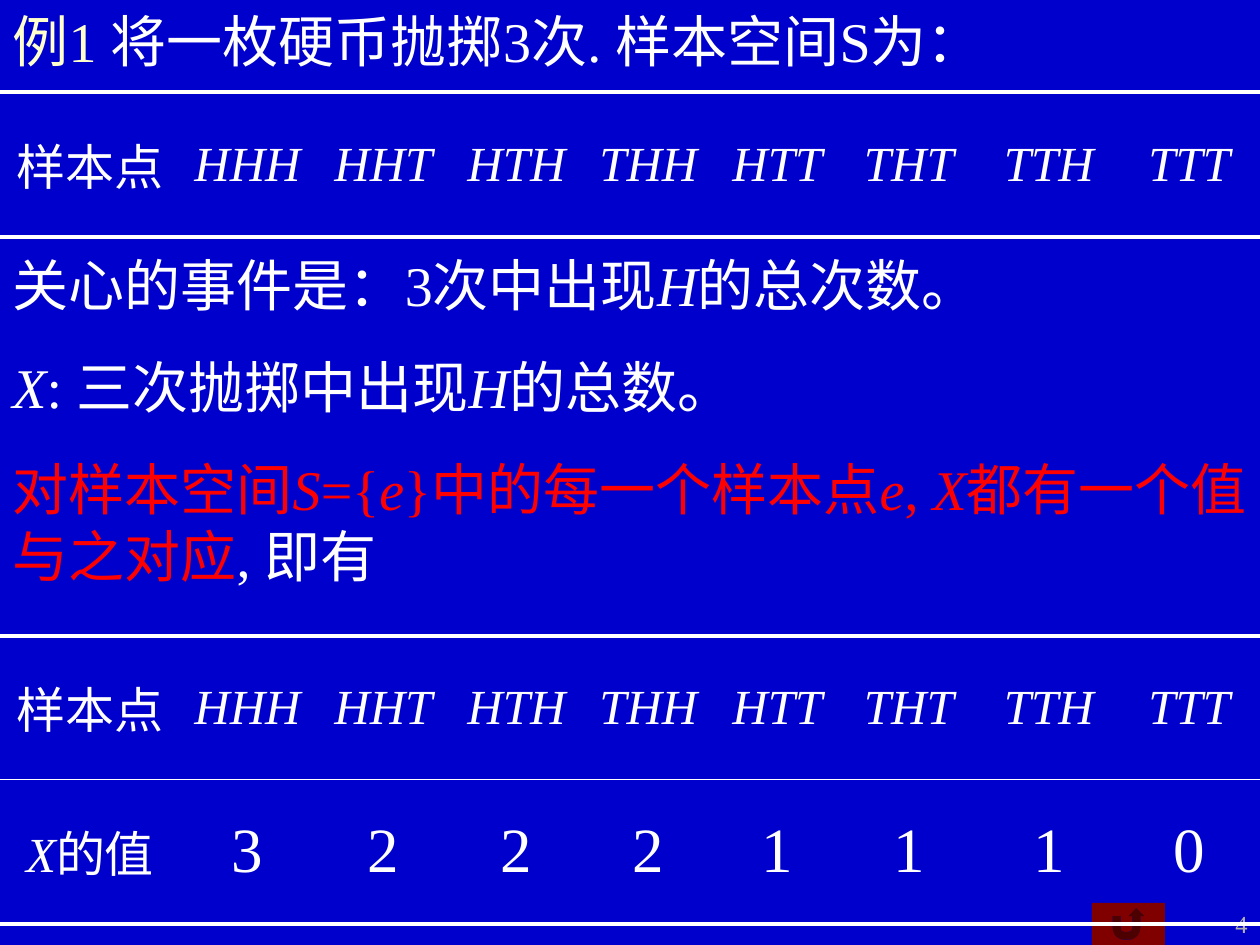
from dataclasses import dataclass

from lxml import etree
from pptx import Presentation
from pptx import util as u
from pptx.dml.color import RGBColor
from pptx.enum import shapes, text
from pptx.oxml.ns import qn

PX = u.Inches(1) / 126


@dataclass(frozen=True)
class Theme:
    """Colours, font and type sizes of the slide."""
    font: str = "Times New Roman"
    back: str = "0000CC"
    ink: str = "FFFFFF"
    lead: str = "FFFFCC"
    accent: str = "FF0000"
    button: str = "800000"
    muted: str = "B2B2B2"
    body: int = 32
    label: int = 28
    value: int = 36
    number: int = 14
    thick: float = 2.21
    thin: float = 0.45


THEME = Theme()
OUTCOMES = ["HHH", "HHT", "HTH", "THH", "HTT", "THT", "TTH", "TTT"]
COLUMNS = [180, 135, 137, 129, 135, 123, 140, 140, 141]


def scaled(*lengths):
    """Turn px lengths into EMU."""
    return [round(length * PX) for length in lengths]


def add_span(para, words, size, color=THEME.ink, italic=False):
    """Append one formatted run."""
    span = para.add_run()
    span.text = words
    span.font.name = THEME.font
    span.font.size = u.Pt(size)
    span.font.color.rgb = RGBColor.from_string(color)
    span.font.italic = italic
    span.font.bold = False


def add_title(page, box):
    """Place the title placeholder and fill it."""
    title = page.shapes.title
    title.left, title.top, title.width, title.height = scaled(*box)
    frame = title.text_frame
    frame.word_wrap = True
    frame.auto_size = text.MSO_AUTO_SIZE.NONE
    frame.vertical_anchor = text.MSO_ANCHOR.TOP
    para = frame.paragraphs[0]
    para.alignment = text.PP_ALIGN.LEFT
    add_span(para, "例1 ", THEME.body, THEME.lead)
    add_span(para, "将一枚硬币抛掷3次. 样本空间S为：", THEME.body)


def add_text(page, box, lines, size, align=text.PP_ALIGN.LEFT):
    """Place a text box whose lines are lists of (words, colour, italic)."""
    frame = page.shapes.add_textbox(*scaled(*box)).text_frame
    frame.word_wrap = True
    for index, line in enumerate(lines):
        para = frame.add_paragraph() if index else frame.paragraphs[0]
        para.alignment = align
        if index:
            para.space_before = u.Pt(20)
        for words, color, italic in line:
            add_span(para, words, size, color, italic)


def set_borders(cell, top, bottom):
    """Rule a cell above and below only."""
    props = cell._tc.get_or_add_tcPr()
    widths = {"a:lnL": 0, "a:lnR": 0, "a:lnT": top, "a:lnB": bottom}
    for index, (tag, width) in enumerate(widths.items()):
        line = etree.Element(qn(tag), w=str(u.Pt(width)))
        if width:
            fill = etree.SubElement(line, qn("a:solidFill"))
            etree.SubElement(fill, qn("a:srgbClr"), val=THEME.ink)
        else:
            etree.SubElement(line, qn("a:noFill"))
        props.insert(index, line)


def add_outcomes(page, box, heights, rows):
    """Place a ruled table whose cells are lists of (words, size, italic)."""
    table = page.shapes.add_table(len(rows), len(COLUMNS), *scaled(*box)).table
    table.first_row = table.horz_banding = False
    for column, width in zip(table.columns, scaled(*COLUMNS)):
        column.width = width
    rules = [THEME.thick] + [THEME.thin] * (len(rows) - 1) + [THEME.thick]
    for index, (row, height) in enumerate(zip(table.rows, scaled(*heights))):
        row.height = height
        for cell, spans in zip(row.cells, rows[index]):
            cell.fill.background()
            cell.vertical_anchor = text.MSO_ANCHOR.MIDDLE
            set_borders(cell, rules[index], rules[index + 1])
            para = cell.text_frame.paragraphs[0]
            para.alignment = text.PP_ALIGN.CENTER
            for words, size, italic in spans:
                add_span(para, words, size, italic=italic)


def add_return_button(page, box):
    """Place the return button."""
    button = page.shapes.add_shape(
        shapes.MSO_SHAPE.ACTION_BUTTON_RETURN, *scaled(*box))
    button.shadow.inherit = False
    button.fill.solid()
    button.fill.fore_color.rgb = RGBColor.from_string(THEME.button)
    button.line.fill.background()


def main():
    """Build the slide and save it."""
    deck = Presentation()
    deck.slide_width, deck.slide_height = scaled(1260, 945)
    page = deck.slides.add_slide(deck.slide_layouts[5])
    page.background.fill.solid()
    page.background.fill.fore_color.rgb = RGBColor.from_string(THEME.back)

    ink, red = THEME.ink, THEME.accent
    lines = [
        [("关心的事件是：3次中出现", ink, False), ("H", ink, True),
         ("的总次数。", ink, False)],
        [("X", ink, True), (": 三次抛掷中出现", ink, False),
         ("H", ink, True), ("的总数。", ink, False)],
        [("对样本空间", red, False), ("S", red, True), ("={", red, False),
         ("e", red, True), ("}中的每一个样本点", red, False),
         ("e", red, True), (", ", red, False), ("X", red, True),
         ("都有一个值与之对应", red, False), (", 即有", ink, False)],
    ]
    points = [[("样本点", THEME.label, False)]]
    points += [[(outcome, THEME.label, True)] for outcome in OUTCOMES]
    values = [[("X", THEME.label, True), ("的值", THEME.label, False)]]
    values += [[(str(outcome.count("H")), THEME.value, False)]
               for outcome in OUTCOMES]

    add_return_button(page, (1092, 903, 73, 42))
    add_text(page, (1176, 903, 84, 42), [[("4", THEME.muted, False)]],
             THEME.number, text.PP_ALIGN.RIGHT)
    add_title(page, (0, 0, 1260, 92))
    add_outcomes(page, (0, 92, 1260, 145), [145], [points])
    add_text(page, (0, 244, 1260, 352), lines, THEME.body)
    add_outcomes(page, (0, 636, 1260, 288), [143, 145], [points, values])
    deck.save("out.pptx")


if __name__ == "__main__":
    main()
